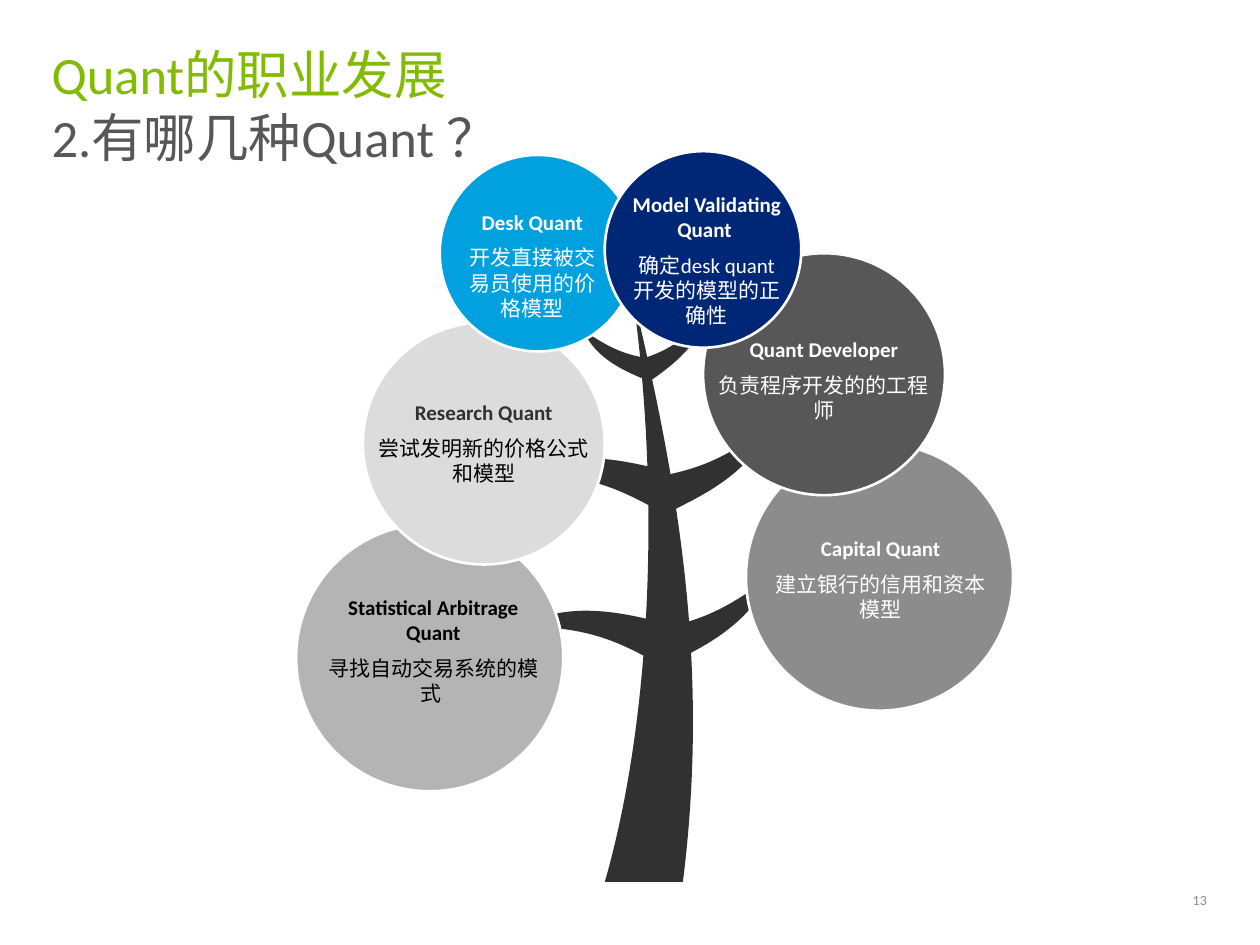
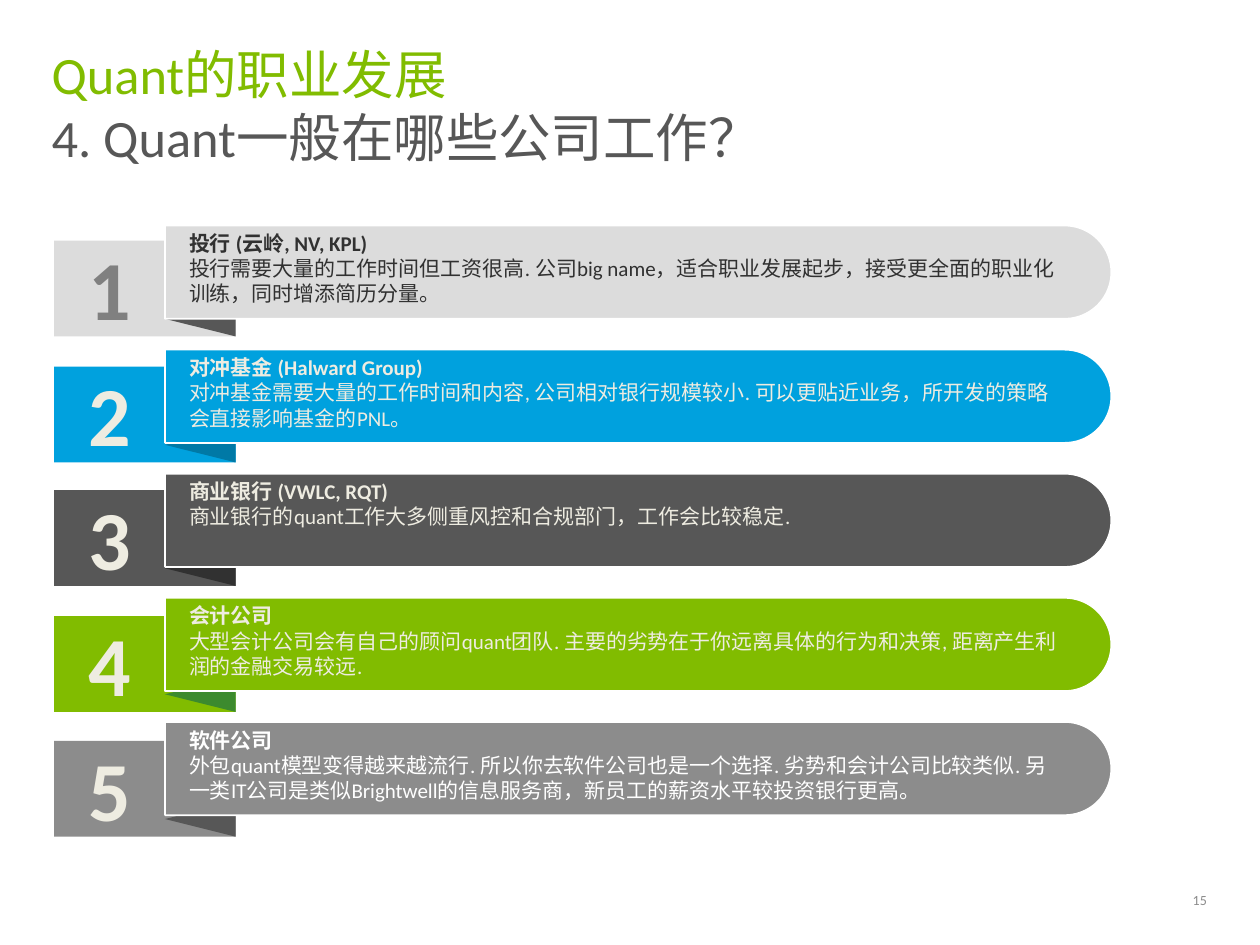
from dataclasses import dataclass

from lxml import etree
from pptx import Presentation
from pptx.dml.color import RGBColor
from pptx.enum.shapes import MSO_SHAPE
from pptx.enum.text import MSO_ANCHOR, MSO_AUTO_SIZE, PP_ALIGN
from pptx.oxml.ns import qn
from pptx.shapes.autoshape import Shape
from pptx.slide import Slide
from pptx.util import Inches, Pt

ELLIPSE = MSO_SHAPE.OVAL
RECTANGLE = MSO_SHAPE.RECTANGLE
TRIANGLE = MSO_SHAPE.ISOSCELES_TRIANGLE
ROUNDED_BAR = MSO_SHAPE.ROUND_2_SAME_RECTANGLE
LEFT, CENTER, RIGHT = PP_ALIGN.LEFT, PP_ALIGN.CENTER, PP_ALIGN.RIGHT
TOP, MIDDLE = MSO_ANCHOR.TOP, MSO_ANCHOR.MIDDLE
FIT_SHAPE, NO_FIT = MSO_AUTO_SIZE.SHAPE_TO_FIT_TEXT, MSO_AUTO_SIZE.NONE

FONT = "Calibri"
BLACK = RGBColor(0x00, 0x00, 0x00)
WHITE = RGBColor(0xFF, 0xFF, 0xFF)
CREAM = RGBColor(0xEE, 0xEC, 0xE1)
CHARCOAL = RGBColor(0x31, 0x31, 0x31)
DARK_GRAY = RGBColor(0x57, 0x57, 0x57)
NUMBER_GRAY = RGBColor(0x80, 0x80, 0x80)
GRAY = RGBColor(0x8C, 0x8C, 0x8C)
SILVER = RGBColor(0xB4, 0xB4, 0xB4)
LIGHT_GRAY = RGBColor(0xDC, 0xDC, 0xDC)
GREEN = RGBColor(0x81, 0xBC, 0x00)
DARK_GREEN = RGBColor(0x3C, 0x8A, 0x2E)
BLUE = RGBColor(0x00, 0xA1, 0xDE)
DARK_BLUE = RGBColor(0x00, 0x79, 0xA6)
NAVY = RGBColor(0x00, 0x27, 0x76)

Point = tuple[float, float]
Box = tuple[float, float, float, float]

CURVE_STEPS = 16


@dataclass
class TextLine:
    text: str
    color: RGBColor
    bold: bool = False


@dataclass
class Role:
    """A kind of quant: a leaf of the tree and the text on it."""
    left: float
    top: float
    diameter: float
    fill: RGBColor
    text_box: Box
    name: str
    name_color: RGBColor
    duty: str
    duty_color: RGBColor


@dataclass
class Employer:
    tab_top: float
    fill: RGBColor
    fold_fill: RGBColor
    number_color: RGBColor
    text_color: RGBColor
    name: str
    description: str


# Each outline is a start point followed by two cubic curves.
TRUNK = [(4.8, 7), (5.16, 5.75), (5.25, 3.97), (5.02, 2.33),
         (5.4, 3.91), (5.63, 5.32), (5.42, 7)]
TOP_BRANCHES = [
    [(5.18, 2.85), (4.98, 2.82), (4.86, 2.78), (4.63, 2.62),
     (4.72, 2.84), (4.95, 2.94), (5.09, 3)],
    [(5.09, 2.85), (5.28, 2.79), (5.4, 2.72), (5.6, 2.52),
     (5.54, 2.76), (5.28, 2.94), (5.15, 3.03)],
]
MIDDLE_BRANCHES = [
    [(5.18, 3.79), (5.52, 3.73), (5.73, 3.66), (6.12, 3.37),
     (5.96, 3.75), (5.58, 3.93), (5.34, 4.05)],
    [(5.15, 4.01), (4.85, 3.85), (4.63, 3.77), (4.15, 3.76),
     (4.51, 3.56), (4.92, 3.65), (5.18, 3.71)],
]
LOWER_BRANCHES = [[(x - 0.01, y + 1.21) for x, y in branch]
                  for branch in MIDDLE_BRANCHES]

ROLES = [
    Role(2.35, 4.16, 2.12, SILVER, (2.56, 4.72, 1.76, 0.89),
         "Statistical Arbitrage Quant", BLACK, "寻找自动交易系统的模式 ", BLACK),
    Role(5.92, 3.52, 2.12, GRAY, (6.11, 4.25, 1.76, 0.69),
         "Capital Quant", WHITE, "建立银行的信用和资本模型", WHITE),
    Role(5.58, 2.01, 1.92, DARK_GRAY, (5.66, 2.67, 1.76, 0.69),
         "Quant Developer", WHITE, "负责程序开发的的工程师", WHITE),
    Role(2.88, 2.56, 1.92, LIGHT_GRAY, (2.96, 3.17, 1.76, 0.69),
         "Research Quant", CHARCOAL, "尝试发明新的价格公式和模型", BLACK),
    Role(3.49, 1.23, 1.56, BLUE, (3.7, 1.66, 1.05, 0.89),
         "Desk Quant", WHITE, "开发直接被交易员使用的价格模型", WHITE),
    Role(4.8, 1.2, 1.56, NAVY, (5, 1.52, 1.22, 1.09),
         "Model Validating Quant ", WHITE, "确定desk quant开发的模型的正确性", WHITE),
]

EMPLOYERS = [
    Employer(1.91, LIGHT_GRAY, DARK_GRAY, NUMBER_GRAY, CHARCOAL, "投行 (云岭, NV, KPL)",
             "投行需要大量的工作时间但工资很高. 公司big name，适合职业发展起步，"
             "接受更全面的职业化训练，同时增添简历分量。"),
    Employer(2.91, BLUE, DARK_BLUE, CREAM, CREAM, "对冲基金 (Halward Group)",
             "对冲基金需要大量的工作时间和内容, 公司相对银行规模较小. "
             "可以更贴近业务，所开发的策略会直接影响基金的PNL。"),
    Employer(3.89, DARK_GRAY, CHARCOAL, CREAM, CREAM, "商业银行 (VWLC, RQT)",
             "商业银行的quant工作大多侧重风控和合规部门，工作会比较稳定."),
    Employer(4.89, GREEN, DARK_GREEN, CREAM, CREAM, "会计公司",
             "大型会计公司会有自己的顾问quant团队. "
             "主要的劣势在于你远离具体的行为和决策, 距离产生利润的金融交易较远."),
    Employer(5.88, GRAY, DARK_GRAY, CREAM, WHITE, "软件公司",
             "外包quant模型变得越来越流行. 所以你去软件公司也是一个选择. "
             "劣势和会计公司比较类似. 另一类IT公司是类似Brightwell的信息服务商，"
             "新员工的薪资水平较投资银行更高。"),
]
FIRST_BAR_TOP, LAST_BAR_TOP = 1.79, 5.73
BAR_PITCH = (LAST_BAR_TOP - FIRST_BAR_TOP) / (len(EMPLOYERS) - 1)
BAR_LENGTH, BAR_HEIGHT = 7.51, 0.74
TAB_HEIGHT = 0.76
FOLD_LENGTH, FOLD_HEIGHT = 0.56, 0.28


def add_text(slide: Slide, box: Box, paragraphs: list[list[TextLine]], *,
             size: float = 12, align: PP_ALIGN = LEFT, anchor: MSO_ANCHOR = TOP,
             auto_size: MSO_AUTO_SIZE = FIT_SHAPE, space_after: float = 0,
             inset: float = 0) -> None:
    """Add a text box; the lines of one paragraph are parted by line breaks."""
    frame = slide.shapes.add_textbox(*map(Inches, box)).text_frame
    frame.word_wrap = True
    frame.auto_size = auto_size
    frame.vertical_anchor = anchor
    frame.margin_left = frame.margin_right = Inches(inset)
    frame.margin_top = frame.margin_bottom = Inches(inset)
    for index, lines in enumerate(paragraphs):
        paragraph = frame.add_paragraph() if index else frame.paragraphs[0]
        paragraph.alignment = align
        paragraph.space_after = Pt(space_after)
        paragraph.font.size = Pt(size)
        for line_index, line in enumerate(lines):
            if line_index:
                paragraph.add_line_break()
            run = paragraph.add_run()
            run.text = line.text
            run.font.name = FONT
            run.font.size = Pt(size)
            run.font.bold = line.bold
            run.font.color.rgb = line.color


def paint(shape: Shape, fill: RGBColor, outline_width: float = 0) -> None:
    """Fill a shape, with a white outline where a width is given."""
    shape.shadow.inherit = False
    shape.fill.solid()
    shape.fill.fore_color.rgb = fill
    if outline_width:
        shape.line.color.rgb = WHITE
        shape.line.width = Pt(outline_width)
    else:
        shape.line.fill.background()


def add_shape(slide: Slide, kind: MSO_SHAPE, box: Box, fill: RGBColor,
              outline_width: float = 0) -> Shape:
    shape = slide.shapes.add_shape(kind, *map(Inches, box))
    paint(shape, fill, outline_width)
    return shape


def add_turned_shape(slide: Slide, kind: MSO_SHAPE, box: Box, rotation: float,
                     fill: RGBColor, outline_width: float = 0) -> Shape:
    """Add a shape turned a quarter so that it covers the box as seen."""
    left, top, width, height = box
    shift = (width - height) / 2
    shape = add_shape(slide, kind, (left + shift, top - shift, height, width),
                      fill, outline_width)
    shape.rotation = rotation
    return shape


def curve_points(start: Point, first: Point, second: Point, end: Point) -> list[Point]:
    """Sample a cubic Bezier curve, leaving out its start."""
    points = []
    for step in range(1, CURVE_STEPS + 1):
        t = step / CURVE_STEPS
        weights = ((1 - t) ** 3, 3 * t * (1 - t) ** 2, 3 * t ** 2 * (1 - t), t ** 3)
        x, y = (sum(weight * value for weight, value in zip(weights, values))
                for values in zip(start, first, second, end))
        points.append((x, y))
    return points


def add_limb(slide: Slide, outline: list[Point]) -> None:
    """Size a freeform by sampled points, then give it true curves."""
    samples = outline[:1] + curve_points(*outline[:4]) + curve_points(*outline[3:])
    start, *others = [(Inches(x), Inches(y)) for x, y in samples]
    builder = slide.shapes.build_freeform(*start)
    builder.add_line_segments(others, close=True)
    limb = builder.convert_to_shape()
    paint(limb, CHARCOAL)
    geometry = next(limb.element.iter(qn("a:path")))
    for segment in geometry.findall(qn("a:lnTo")):
        geometry.remove(segment)
    for position, curve in enumerate((outline[1:4], outline[4:7]), start=1):
        bezier = etree.Element(qn("a:cubicBezTo"))
        for x, y in curve:
            etree.SubElement(bezier, qn("a:pt"), x=str(Inches(x) - limb.left),
                             y=str(Inches(y) - limb.top))
        geometry.insert(position, bezier)


def add_content_slide(presentation: Presentation, subtitle: str, number: int) -> Slide:
    slide = presentation.slides.add_slide(presentation.slide_layouts[6])
    add_text(slide, (0.41, 0.33, 9.17, 0.51),
             [[TextLine("Quant的职业发展 ", GREEN), TextLine(subtitle, DARK_GRAY)]],
             size=30, auto_size=NO_FIT)
    add_text(slide, (8.71, 7, 0.87, 0.28), [[TextLine(str(number), GRAY)]],
             size=8, align=RIGHT, anchor=MIDDLE, auto_size=NO_FIT)
    return slide


def build_roles_slide(presentation: Presentation) -> None:
    slide = add_content_slide(presentation, "2.有哪几种Quant ？", 13)
    for outline in [*TOP_BRANCHES, *MIDDLE_BRANCHES, *LOWER_BRANCHES, TRUNK]:
        add_limb(slide, outline)
    for role in ROLES:
        add_shape(slide, ELLIPSE, (role.left, role.top, role.diameter, role.diameter),
                  role.fill, outline_width=1.5)
    for role in ROLES:
        add_text(slide, role.text_box,
                 [[TextLine(role.name, role.name_color, bold=True)],
                  [TextLine(role.duty, role.duty_color)]],
                 align=CENTER, space_after=6)


def add_employer(slide: Slide, index: int, employer: Employer) -> None:
    bar_top = FIRST_BAR_TOP + index * BAR_PITCH
    fold_top = employer.tab_top + TAB_HEIGHT - FOLD_HEIGHT
    add_shape(slide, RECTANGLE, (0.43, employer.tab_top, 1.44, TAB_HEIGHT), employer.fill)
    add_turned_shape(slide, TRIANGLE, (1.31, fold_top, FOLD_LENGTH, FOLD_HEIGHT),
                     270, employer.fold_fill)
    bar = add_turned_shape(slide, ROUNDED_BAR, (1.31, bar_top, BAR_LENGTH, BAR_HEIGHT),
                           90, employer.fill, outline_width=1)
    bar.adjustments[0] = 0.5
    bar.adjustments[1] = 0
    add_text(slide, (0.49, employer.tab_top - 0.07, 0.76, 0.89),
             [[TextLine(str(index + 1), employer.number_color, bold=True)]],
             size=48, align=CENTER, inset=0.04)
    add_text(slide, (1.5, bar_top + 0.04, 6.95, 0.61),
             [[TextLine(employer.name, employer.text_color, bold=True)],
              [TextLine(employer.description, employer.text_color)]])


def build_employers_slide(presentation: Presentation) -> None:
    slide = add_content_slide(presentation, "4. Quant一般在哪些公司工作？", 15)
    for index, employer in enumerate(EMPLOYERS):
        add_employer(slide, index, employer)


def main() -> None:
    presentation = Presentation()
    presentation.slide_width = Inches(10)
    presentation.slide_height = Inches(7.5)
    build_roles_slide(presentation)
    build_employers_slide(presentation)
    presentation.save("out.pptx")


if __name__ == "__main__":
    main()
